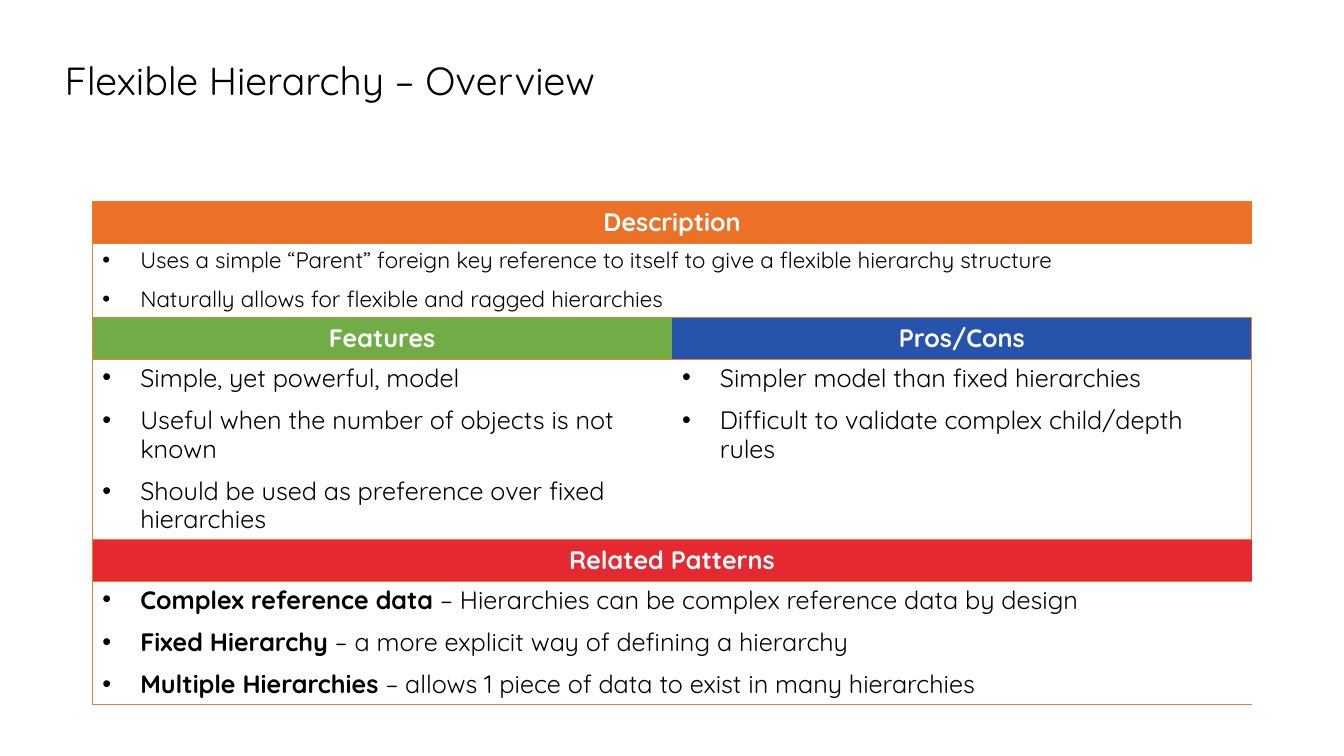
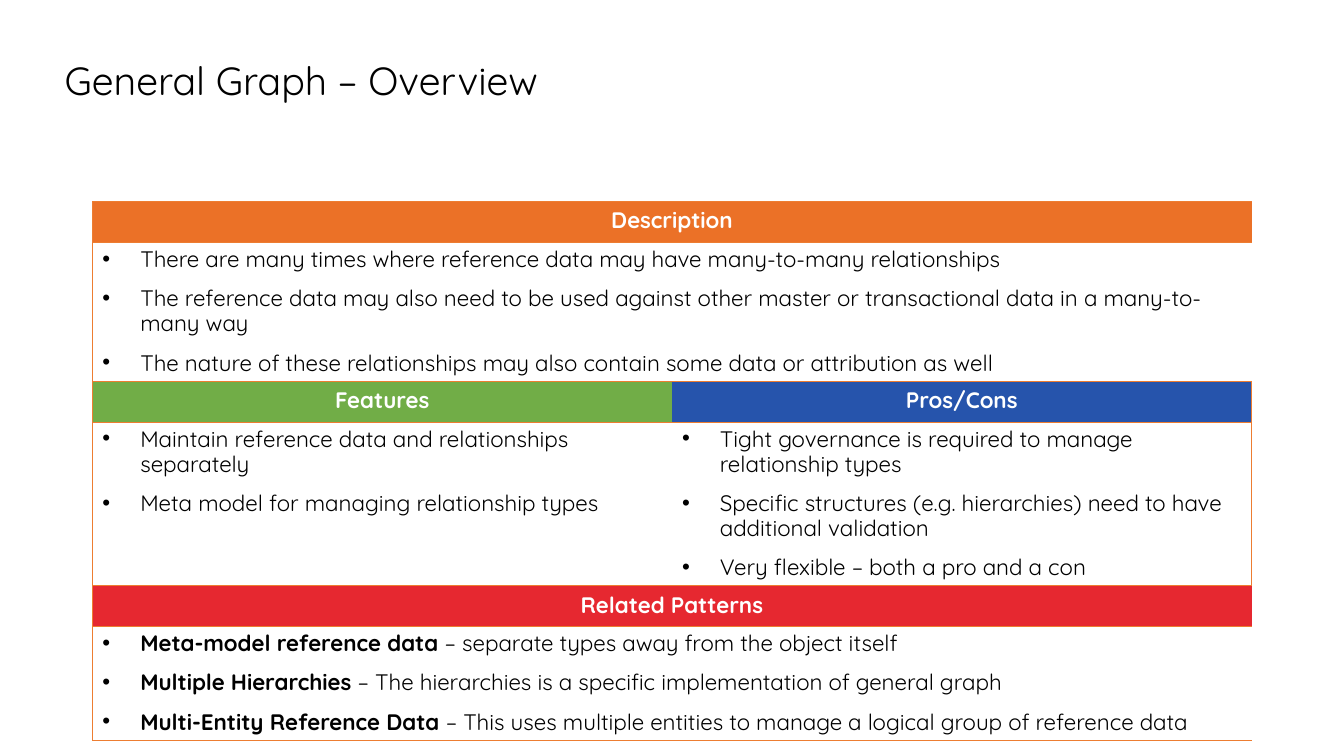
from lxml.etree import SubElement
from pptx import Presentation
from pptx.dml.color import RGBColor
from pptx.enum.text import MSO_ANCHOR, MSO_AUTO_SIZE, PP_ALIGN
from pptx.oxml.ns import qn
from pptx.util import Pt

PX = 9525  # EMU per px, 96 px to the inch

FONT = "Quicksand"
BLACK = RGBColor(0x00, 0x00, 0x00)
WHITE = RGBColor(0xFF, 0xFF, 0xFF)
ORANGE = RGBColor(0xEB, 0x71, 0x27)
GREEN = RGBColor(0x71, 0xAD, 0x47)
BLUE = RGBColor(0x26, 0x54, 0xAC)
RED = RGBColor(0xE6, 0x28, 0x30)
BORDER = RGBColor(0xED, 0x7D, 0x31)

TITLE_BOX = (52, 52, 1017, 54)
TABLE_LEFT, TABLE_TOP, COLUMN_WIDTH, ROW_HEIGHT = 88, 192, 552, 39
INDENT = 36
LINE_SPACING = 0.9
BULLET_GAP = Pt(10)

# Each bullet is a pair: bold lead-in and plain text
FLEXIBLE_HIERARCHY = {
    "title": "Flexible Hierarchy – Overview",
    "size": 18,
    "description_size": 16,
    "description": [
        ("", "Uses a simple “Parent” foreign key reference to itself to give a flexible hierarchy structure"),
        ("", "Naturally allows for flexible and ragged hierarchies"),
    ],
    "features": [
        ("", "Simple, yet powerful, model"),
        ("", "Useful when the number of objects is not known"),
        ("", "Should be used as preference over fixed hierarchies"),
    ],
    "pros_cons": [
        ("", "Simpler model than fixed hierarchies"),
        ("", "Difficult to validate complex child/depth rules"),
    ],
    "related": [
        ("Complex reference data ", "– Hierarchies can be complex reference data by design"),
        ("Fixed Hierarchy ", "– a more explicit way of defining a hierarchy"),
        ("Multiple Hierarchies ", "– allows 1 piece of data to exist in many hierarchies"),
    ],
}

GENERAL_GRAPH = {
    "title": "General Graph – Overview",
    "size": 16,
    "description_size": 16,
    "description": [
        ("", "There are many times where reference data may have many-to-many relationships"),
        ("", "The reference data may also need to be used against other master or transactional data "
             "in a many-to-many way"),
        ("", "The nature of these relationships may also contain some data or attribution as well"),
    ],
    "features": [
        ("", "Maintain reference data and relationships separately"),
        ("", "Meta model for managing relationship types"),
    ],
    "pros_cons": [
        ("", "Tight governance is required to manage relationship types"),
        ("", "Specific structures (e.g. hierarchies) need to have additional validation"),
        ("", "Very flexible – both a pro and a con"),
    ],
    "related": [
        ("Meta-model reference data ", "– separate types away from the object itself"),
        ("Multiple Hierarchies ", "– The hierarchies is a specific implementation of general graph"),
        ("Multi-Entity Reference Data ",
         "– This uses multiple entities to manage a logical group of reference data"),
    ],
}


def style_font(font, size, color, bold=False):
    font.name = FONT
    font.size = Pt(size)
    font.color.rgb = color
    font.bold = bold


def set_title(slide, text):
    title = slide.shapes.title
    title.left, title.top, title.width, title.height = (value * PX for value in TITLE_BOX)
    frame = title.text_frame
    frame.text = text
    frame.auto_size = MSO_AUTO_SIZE.NONE
    frame.vertical_anchor = MSO_ANCHOR.MIDDLE
    paragraph = frame.paragraphs[0]
    paragraph.alignment = PP_ALIGN.LEFT
    paragraph.line_spacing = LINE_SPACING
    style_font(paragraph.font, 28, BLACK)


def set_borders(cell, sides):
    """Draw the named sides (L, R, T, B) and clear the others."""
    properties = cell._tc.get_or_add_tcPr()
    for side in "LRTB":
        line = SubElement(properties, qn(f"a:ln{side}"), w=str(Pt(0.5)))
        if side in sides:
            fill = SubElement(line, qn("a:solidFill"))
            SubElement(fill, qn("a:srgbClr"), val=str(BORDER))
        else:
            SubElement(line, qn("a:noFill"))


def fill_header(cell, text, color, size):
    cell.fill.solid()
    cell.fill.fore_color.rgb = color
    cell.text = text
    paragraph = cell.text_frame.paragraphs[0]
    paragraph.alignment = PP_ALIGN.CENTER
    style_font(paragraph.font, size, WHITE, bold=True)


def add_bullet(paragraph):
    properties = paragraph._p.get_or_add_pPr()
    properties.set("marL", str(INDENT * PX))
    properties.set("indent", str(-INDENT * PX))
    SubElement(properties, qn("a:buFont"), typeface="Arial")
    SubElement(properties, qn("a:buChar"), char="•")


def fill_bullets(cell, bullets, size):
    cell.fill.background()
    frame = cell.text_frame
    for index, (lead, text) in enumerate(bullets):
        paragraph = frame.add_paragraph() if index else frame.paragraphs[0]
        add_bullet(paragraph)
        paragraph.line_spacing = LINE_SPACING
        if index:
            paragraph.space_before = BULLET_GAP
        style_font(paragraph.font, size, BLACK)
        if lead:
            run = paragraph.add_run()
            run.text = lead
            run.font.bold = True
        paragraph.add_run().text = text


def add_pattern_table(slide, pattern):
    frame = slide.shapes.add_table(6, 2, TABLE_LEFT * PX, TABLE_TOP * PX,
                                   2 * COLUMN_WIDTH * PX, 6 * ROW_HEIGHT * PX)
    table = frame.table
    table.first_row = table.horz_banding = False

    # Outer frame and row lines, without a line between the columns
    for row in range(6):
        for column, edge in enumerate("LR"):
            set_borders(table.cell(row, column), edge + "TB")
    for row in (0, 1, 4, 5):
        table.cell(row, 0).merge(table.cell(row, 1))

    # Each section is a header with its bullets in the row below
    size = pattern["size"]
    sections = [
        (0, 0, "Description", ORANGE, "description", pattern["description_size"]),
        (2, 0, "Features", GREEN, "features", size),
        (2, 1, "Pros/Cons", BLUE, "pros_cons", size),
        (4, 0, "Related Patterns", RED, "related", size),
    ]
    for row, column, heading, color, key, bullet_size in sections:
        fill_header(table.cell(row, column), heading, color, size)
        fill_bullets(table.cell(row + 1, column), pattern[key], bullet_size)


def main():
    presentation = Presentation()
    presentation.slide_width = 1280 * PX
    presentation.slide_height = 720 * PX
    for pattern in (FLEXIBLE_HIERARCHY, GENERAL_GRAPH):
        slide = presentation.slides.add_slide(presentation.slide_layouts[5])
        set_title(slide, pattern["title"])
        add_pattern_table(slide, pattern)
    presentation.save("out.pptx")


if __name__ == "__main__":
    main()
